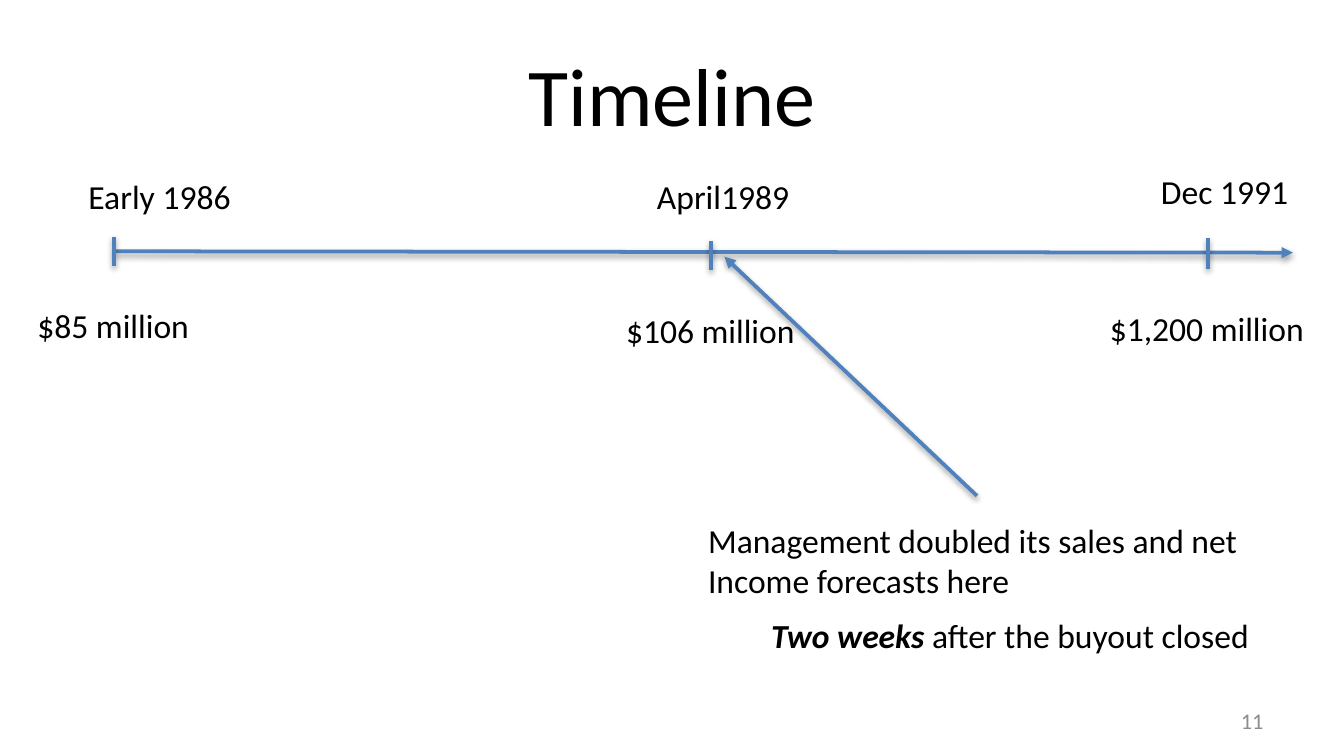
from lxml import etree
from pptx import Presentation
from pptx.dml.color import RGBColor
from pptx.enum.shapes import MSO_CONNECTOR
from pptx.enum.text import MSO_ANCHOR, MSO_AUTO_SIZE, PP_ALIGN
from pptx.oxml import parse_xml
from pptx.oxml.ns import nsdecls, qn
from pptx.util import Inches, Pt

BLACK = "000000"
GREY = "8C8C8C"
BLUE = "4F81BD"

# Date with left, top, width; value with left, top, width; tick x, top, bottom
MILESTONES = [
    ("Early 1986", 0.56, 1.26, 1.27, "$85 million", 0.18, 2.22, 1.34, 0.85, 1.76, 1.98),
    ("April1989", 4.79, 1.26, 1.2, "$106 million", 4.56, 2.26, 1.47, 5.29, 1.79, 2.01),
    ("Dec 1991", 8.54, 1.22, 1.16, "$1,200 million", 8.16, 2.24, 1.66, 8.99, 1.77, 2),
]


def color(hex_string):
    return RGBColor.from_string(hex_string)


def write(frame, paragraphs, size=18, fill=BLACK, align=PP_ALIGN.LEFT,
          anchor=MSO_ANCHOR.TOP, wrap=False):
    """Fill a frame with paragraphs, each a list of (text, emphasized) runs."""
    frame.word_wrap = wrap
    frame.auto_size = MSO_AUTO_SIZE.NONE if wrap else MSO_AUTO_SIZE.SHAPE_TO_FIT_TEXT
    frame.vertical_anchor = anchor
    for index, runs in enumerate(paragraphs):
        paragraph = frame.add_paragraph() if index else frame.paragraphs[0]
        paragraph.alignment = align
        for text, emphasized in runs:
            run = paragraph.add_run()
            run.text = text
            run.font.name = "Calibri"
            run.font.size = Pt(size)
            run.font.color.rgb = color(fill)
            run.font.bold = run.font.italic = emphasized


def add_text(slide, paragraphs, left, top, width, height=0.4, **text_format):
    box = slide.shapes.add_textbox(
        Inches(left), Inches(top), Inches(width), Inches(height))
    write(box.text_frame, paragraphs, **text_format)


def add_title(slide, text):
    title = slide.shapes.title
    title.left, title.top = Inches(0.5), Inches(0.23)
    title.width, title.height = Inches(9), Inches(0.94)
    write(title.text_frame, [[(text, False)]], size=44, align=PP_ALIGN.CENTER,
          anchor=MSO_ANCHOR.MIDDLE, wrap=True)


def add_line(slide, start, end, arrow=False):
    """Draw a blue line with a soft shadow below it."""
    points = [Inches(value) for value in (*start, *end)]
    line = slide.shapes.add_connector(MSO_CONNECTOR.STRAIGHT, *points)
    line.line.color.rgb = color(BLUE)
    line.line.width = Pt(2)
    properties = line._element.spPr
    if arrow:
        etree.SubElement(properties.find(qn("a:ln")), qn("a:tailEnd"), type="triangle")
    properties.append(parse_xml(
        f'<a:effectLst {nsdecls("a")}>'
        f'<a:outerShdw blurRad="{Pt(3.1)}" dist="{Pt(1.6)}" dir="5400000" rotWithShape="0">'
        f'<a:srgbClr val="{BLACK}"><a:alpha val="38000"/></a:srgbClr>'
        '</a:outerShdw></a:effectLst>'))


def add_milestone(slide, date, date_left, date_top, date_width,
                  value, value_left, value_top, value_width,
                  tick_x, tick_top, tick_bottom):
    add_text(slide, [[(date, False)]], date_left, date_top, date_width)
    add_line(slide, (tick_x, tick_top), (tick_x, tick_bottom))
    add_text(slide, [[(value, False)]], value_left, value_top, value_width)


def main():
    presentation = Presentation()
    presentation.slide_width = Inches(10)
    presentation.slide_height = Inches(10 * 9 / 16)
    slide = presentation.slides.add_slide(presentation.slide_layouts[5])

    add_title(slide, "Timeline")
    add_line(slide, (0.85, 1.87), (9.62, 1.88), arrow=True)
    for milestone in MILESTONES:
        add_milestone(slide, *milestone)

    add_text(slide, [[("Management doubled its sales and net", False)],
                     [("Income forecasts here", False)]], 5.17, 3.82, 4.19, 0.71)
    add_line(slide, (7.27, 3.69), (5.39, 1.91), arrow=True)
    add_text(slide, [[("Two weeks ", True), ("after the buyout closed", False)]],
             5.64, 4.53, 3.77)
    add_text(slide, [[("11", False)]], 8.99, 5.21, 0.51, 0.3, size=12, fill=GREY,
             align=PP_ALIGN.RIGHT, anchor=MSO_ANCHOR.MIDDLE, wrap=True)

    presentation.save("out.pptx")


if __name__ == "__main__":
    main()
